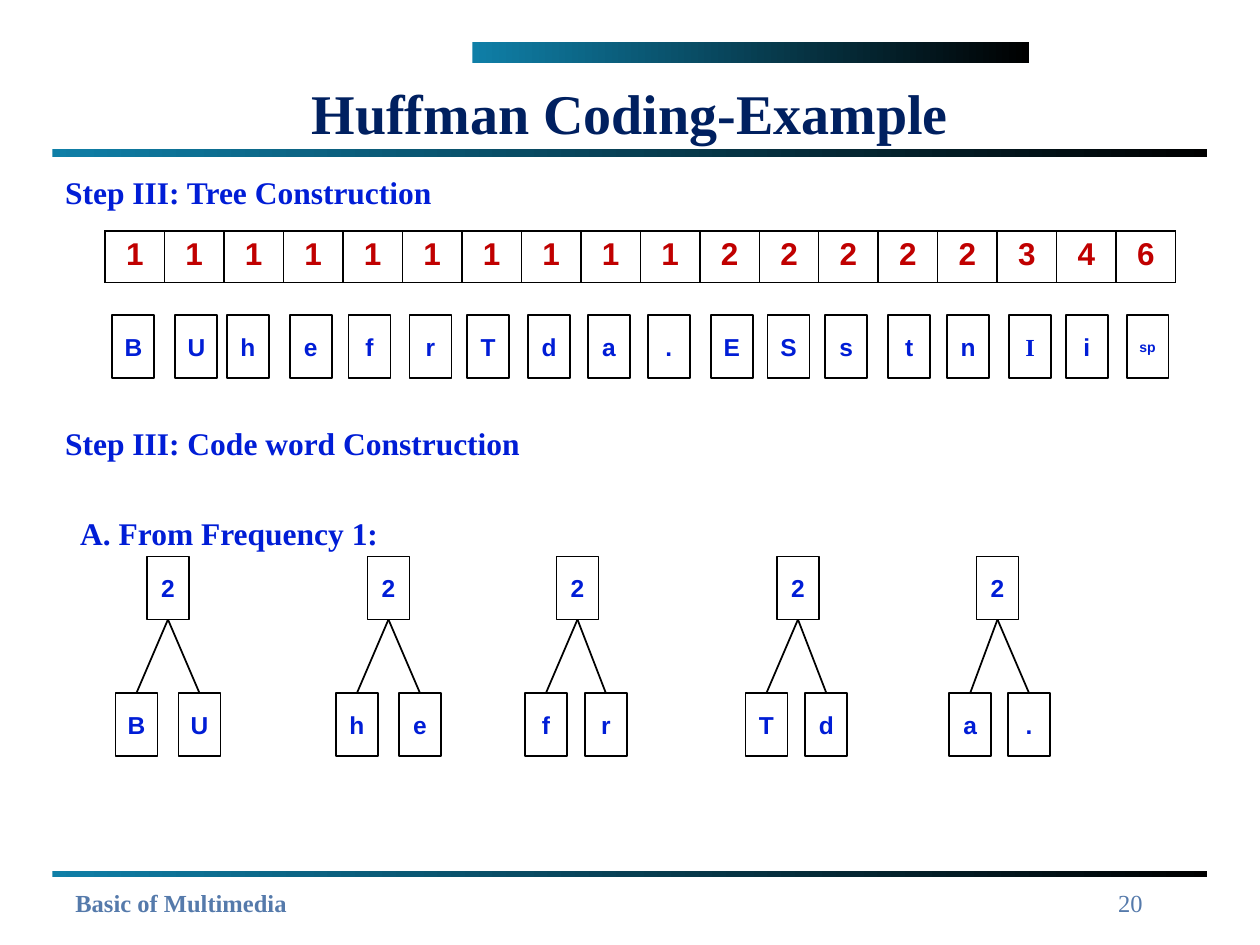
from lxml import etree
from pptx import Presentation, util as u
from pptx.dml.color import RGBColor
from pptx.enum import shapes, text
from pptx.oxml.ns import qn

CELL = u.Inches(1) / 12
SERIF, SANS = "Times New Roman", "Arial"
BLUE, NAVY, RED, GREY, BLACK, WHITE = "001DD6", "002060", "C00000", "557AAB", "000000", "FFFFFF"

FREQUENCIES = [1] * 10 + [2] * 5 + [3, 4, 6]
LETTERS = ["B", "U", "h", "e", "f", "r", "T", "d", "a", ".", "E", "S", "s", "t", "n", "I", "i", "sp"]
LETTER_COLUMNS = [10.7, 16.7, 21.6, 27.6, 33.2, 39, 44.5, 50.3, 56,
                  61.7, 67.7, 73.1, 78.6, 84.6, 90.2, 96.1, 101.5, 107.3]
LETTER_STYLES = {"I": {"font": SERIF}, "sp": {"size": 8}}
TREES = [(14, ("B", 11), ("U", 17)), (35, ("h", 32), ("e", 38)), (53, ("f", 50), ("r", 55.7)),
         (74, ("T", 71), ("d", 76.7)), (93, ("a", 90.4), (".", 96))]
BARS = [(45, 4, 53, 2), (5, 14.2, 110, 0.8), (5, 83, 110, 0.5)]
HEADINGS = [("Step III: Tree Construction", 0, 0),
            ("Step III: Code word Construction", 122, 0),
            ("A. From Frequency 1:", 29.5, 0.12)]


def color(value):
    return RGBColor.from_string(value)


def grid(*cells):
    return [u.Emu(round(cell * CELL)) for cell in cells]


def write(para, content, *, size=14, font=SANS, fill=BLUE, bold=True, align="CENTER", before=0):
    para.alignment = getattr(text.PP_ALIGN, align)
    para.space_before = u.Pt(before)
    span = para.add_run()
    span.text = content
    span.font.size = u.Pt(size)
    span.font.name = font
    span.font.bold = bold
    span.font.color.rgb = color(fill)


def place(shape, area):
    shape.left, shape.top, shape.width, shape.height = grid(*area)


def add_bar(page, area):
    bar = page.shapes.add_shape(shapes.MSO_SHAPE.RECTANGLE, *grid(*area))
    bar.shadow.inherit = False
    bar.line.fill.background()
    bar.fill.gradient()
    bar.fill.gradient_angle = 0
    for stop, value, position in zip(bar.fill.gradient_stops, ("0F7FA7", BLACK), (0, 1)):
        stop.color.rgb = color(value)
        stop.position = position


def add_label(page, area, content, **style):
    box = page.shapes.add_textbox(*grid(*area))
    box.text_frame.word_wrap = True
    write(box.text_frame.paragraphs[0], content, font=SERIF, fill=GREY, **style)


def add_title(page):
    title = page.shapes.title
    place(title, (5, 6.7, 110, 8))
    title.text_frame.auto_size = text.MSO_AUTO_SIZE.NONE
    title.text_frame.vertical_anchor = text.MSO_ANCHOR.MIDDLE
    write(title.text_frame.paragraphs[0], "Huffman Coding-Example", size=32, font=SERIF, fill=NAVY)


def add_headings(page):
    body = page.placeholders[1]
    place(body, (5, 15.5, 110, 67))
    frame = body.text_frame
    frame.auto_size = text.MSO_AUTO_SIZE.NONE
    frame.margin_top = u.Inches(0.08)
    for index, (content, before, indent) in enumerate(HEADINGS):
        para = frame.add_paragraph() if index else frame.paragraphs[0]
        write(para, content, size=18, font=SERIF, align="LEFT", before=before)
        properties = para._p.get_or_add_pPr()
        properties.set("marL", str(u.Inches(indent)))
        properties.set("indent", "0")
        etree.SubElement(properties, qn("a:buNone"))


def add_borders(cell):
    properties = cell._tc.get_or_add_tcPr()
    for side in "LRTB":
        border = etree.SubElement(properties, qn(f"a:ln{side}"), w=str(u.Pt(1)))
        solid = etree.SubElement(border, qn("a:solidFill"))
        etree.SubElement(solid, qn("a:srgbClr"), val=BLACK)


def add_frequency_table(page):
    count = len(FREQUENCIES)
    table = page.shapes.add_table(1, count, *grid(10, 22, 102, 4.9)).table
    table.first_row = table.horz_banding = False
    for column, frequency in enumerate(FREQUENCIES):
        table.columns[column].width = grid(102 / count)[0]
        cell = table.cell(0, column)
        add_borders(cell)
        cell.fill.background()
        write(cell.text_frame.paragraphs[0], str(frequency), size=18, fill=RED)


def add_node(page, column, row, content, **style):
    box = page.shapes.add_shape(shapes.MSO_SHAPE.RECTANGLE, *grid(column, row, 4, 6))
    box.shadow.inherit = False
    box.fill.solid()
    box.fill.fore_color.rgb = color(WHITE)
    box.line.color.rgb = color(BLACK)
    box.line.width = u.Pt(1)
    frame = box.text_frame
    frame.margin_left = frame.margin_right = 0
    frame.vertical_anchor = text.MSO_ANCHOR.MIDDLE
    write(frame.paragraphs[0], content, **style)
    return box


def add_branch(page, parent, child):
    branch = page.shapes.add_connector(shapes.MSO_CONNECTOR.STRAIGHT, 0, 0, 0, 0)
    branch.begin_connect(parent, 2)
    branch.end_connect(child, 0)
    branch.line.color.rgb = color(BLACK)
    branch.line.width = u.Pt(1)
    etree.SubElement(branch._element.spPr, qn("a:effectLst"))


def add_tree(page, column, leaves):
    root = add_node(page, column, 53, "2")
    for letter, leaf_column in leaves:
        add_branch(page, root, add_node(page, leaf_column, 66, letter))


def main():
    deck = Presentation()
    deck.slide_width, deck.slide_height = grid(120, 90)
    page = deck.slides.add_slide(deck.slide_layouts[1])
    for area in BARS:
        add_bar(page, area)
    add_title(page)
    add_headings(page)
    add_label(page, (6, 84, 73, 4), "Basic of Multimedia", align="LEFT")
    add_label(page, (85, 84, 25, 6), "20", bold=False, align="RIGHT")
    add_frequency_table(page)
    for letter, column in zip(LETTERS, LETTER_COLUMNS):
        add_node(page, column, 30, letter, **LETTER_STYLES.get(letter, {}))
    for column, *leaves in TREES:
        add_tree(page, column, leaves)
    deck.save("out.pptx")


if __name__ == "__main__":
    main()
